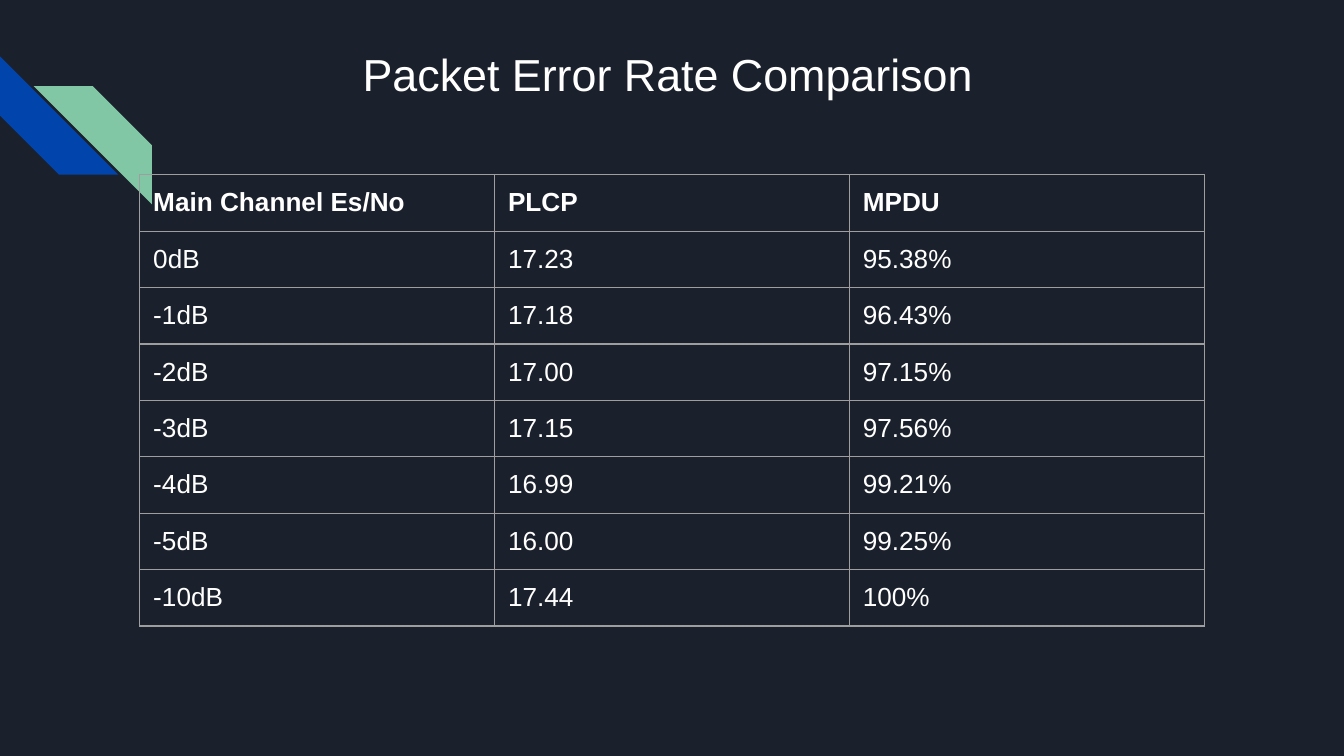
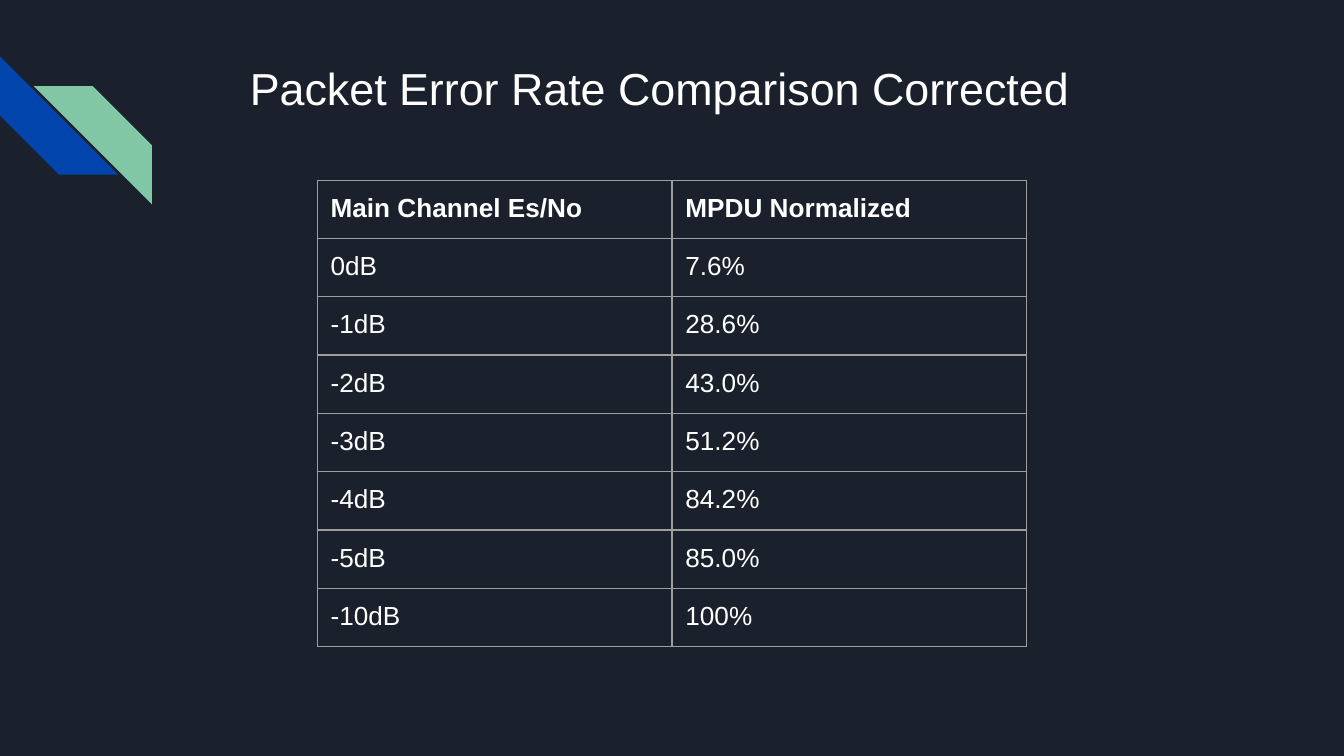
import pptx
import pptx.dml.color
import pptx.enum.shapes
import pptx.oxml.ns
import pptx.util
from lxml import etree

Inches = pptx.util.Inches
Pt = pptx.util.Pt

BACKGROUND = "1B212C"
TEXT = "FFFFFF"
BORDER = "9E9E9E"
FONT = "Arial"
STRIPES = [(0, 0.42, 270, "0145AC"), (0.25, 0.64, 90, "82C7A5")]
STRIPE_SIZE = 0.88
COLUMN_WIDTH = 2.64
ROW_HEIGHT = 0.42
TABLE_HEIGHT = 3.47
MARGIN = 0.1

COMPARISONS = [
    ("Packet Error Rate Comparison", (2.6, 0.25, 4.8), (1.04, 1.3), [
        ("Main Channel Es/No", "PLCP", "MPDU"),
        ("0dB", "17.23", "95.38%"),
        ("-1dB", "17.18", "96.43%"),
        ("-2dB", "17.00", "97.15%"),
        ("-3dB", "17.15", "97.56%"),
        ("-4dB", "16.99", "99.21%"),
        ("-5dB", "16.00", "99.25%"),
        ("-10dB", "17.44", "100%"),
    ]),
    ("Packet Error Rate Comparison Corrected", (1.76, 0.35, 6.48), (2.36, 1.34), [
        ("Main Channel Es/No", "MPDU Normalized"),
        ("0dB", "7.6%"),
        ("-1dB", "28.6%"),
        ("-2dB", "43.0%"),
        ("-3dB", "51.2%"),
        ("-4dB", "84.2%"),
        ("-5dB", "85.0%"),
        ("-10dB", "100%"),
    ]),
]


def paint(color_format, color):
    color_format.rgb = pptx.dml.color.RGBColor.from_string(color)


def write(holder, text, size, bold=False):
    holder.margin_left = holder.margin_right = Inches(MARGIN)
    holder.margin_top = holder.margin_bottom = Inches(MARGIN)
    holder.text = text
    paragraphs = getattr(holder, "text_frame", holder).paragraphs
    font = paragraphs[0].runs[0].font
    font.name = FONT
    font.size = Pt(size)
    font.bold = bold
    paint(font.color, TEXT)


deck = pptx.Presentation()
deck.slide_width = Inches(10)
deck.slide_height = Inches(10 * 9 / 16)
backdrop = deck.slide_master.background.fill
backdrop.solid()
paint(backdrop.fore_color, BACKGROUND)

for heading, (left, top, width), (table_left, table_top), rows in COMPARISONS:
    slide = deck.slides.add_slide(deck.slide_layouts[6])

    for stripe_left, stripe_top, angle, color in STRIPES:
        stripe = slide.shapes.add_shape(
            pptx.enum.shapes.MSO_SHAPE.DIAGONAL_STRIPE,
            Inches(stripe_left), Inches(stripe_top),
            Inches(STRIPE_SIZE), Inches(STRIPE_SIZE))
        stripe.rotation = angle
        stripe.shadow.inherit = False
        stripe.fill.solid()
        paint(stripe.fill.fore_color, color)
        stripe.line.fill.background()

    table_frame = slide.shapes.add_table(
        len(rows), len(rows[0]), Inches(table_left), Inches(table_top),
        Inches(COLUMN_WIDTH * len(rows[0])), Inches(TABLE_HEIGHT))
    error_rates = table_frame.table
    error_rates.first_row = False
    error_rates.horz_banding = False
    for column in error_rates.columns:
        column.width = Inches(COLUMN_WIDTH)
    for row_number, values in enumerate(rows):
        error_rates.rows[row_number].height = Inches(ROW_HEIGHT)
        for column_number, value in enumerate(values):
            cell = error_rates.cell(row_number, column_number)
            write(cell, value, 14, bold=row_number == 0)
            properties = cell._tc.get_or_add_tcPr()
            for side in ("a:lnL", "a:lnR", "a:lnT", "a:lnB"):
                edge = etree.SubElement(properties, pptx.oxml.ns.qn(side), w=str(Pt(0.75)))
                edge_fill = etree.SubElement(edge, pptx.oxml.ns.qn("a:solidFill"))
                etree.SubElement(edge_fill, pptx.oxml.ns.qn("a:srgbClr"), val=BORDER)
            cell.fill.background()
    table_frame.height = Inches(TABLE_HEIGHT)

    title = slide.shapes.add_textbox(
        Inches(left), Inches(top), Inches(width), Inches(0.71)).text_frame
    title.word_wrap = True
    write(title, heading, 24)

deck.save("out.pptx")
